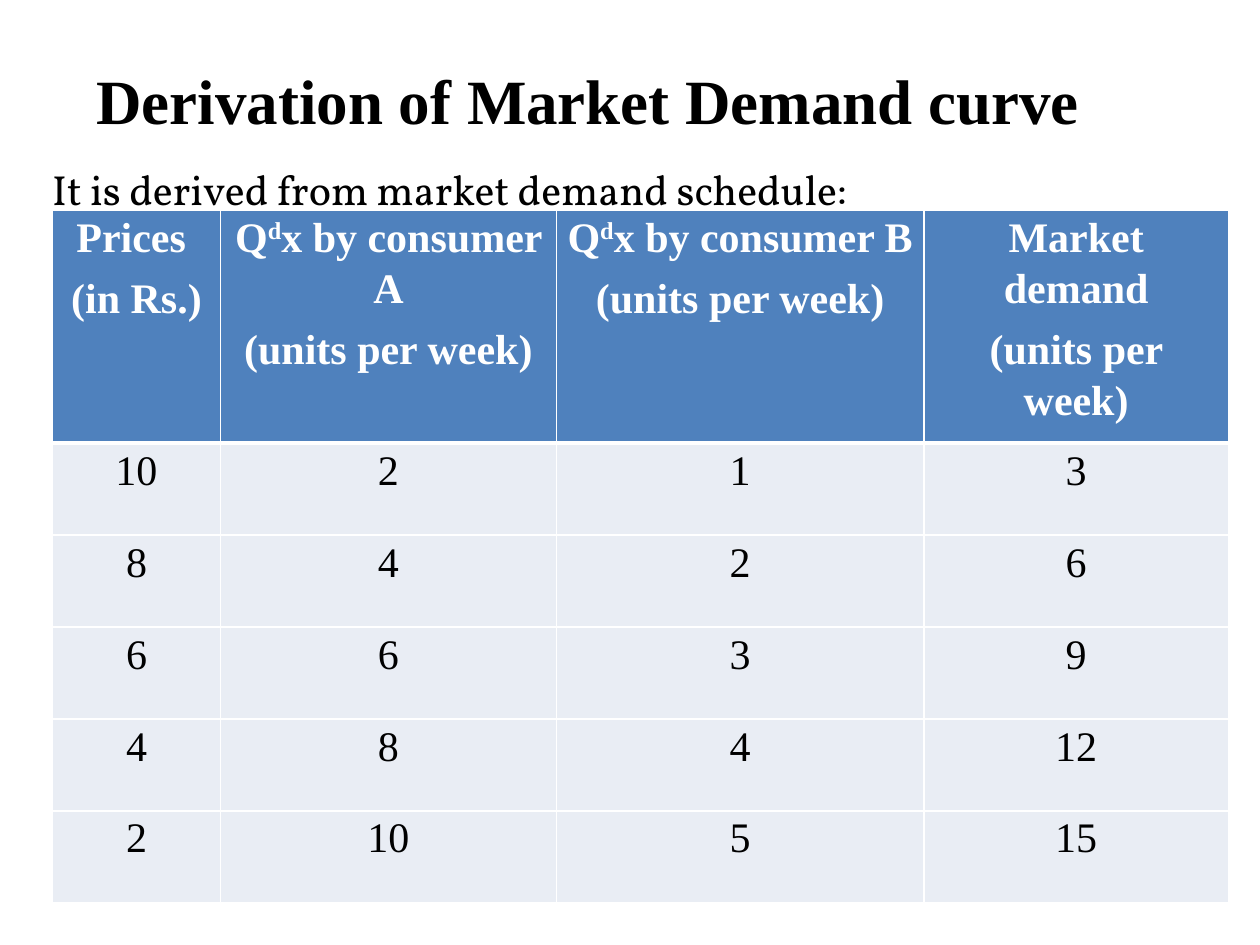
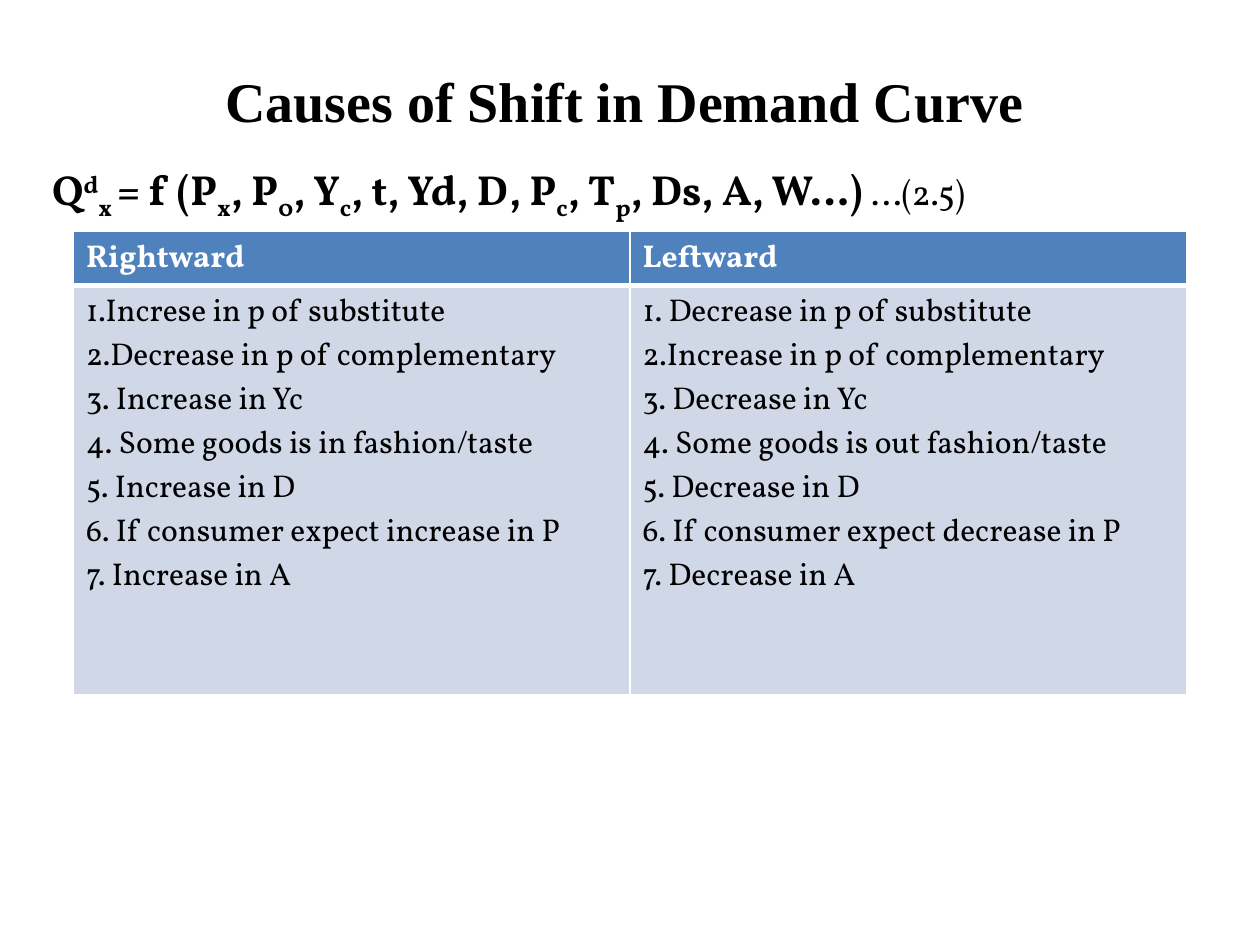
from dataclasses import dataclass
from typing import NamedTuple

from pptx import Presentation
from pptx.dml.color import RGBColor
from pptx.enum.text import MSO_ANCHOR as Anchor, PP_ALIGN as Align
from pptx.oxml import parse_xml
from pptx.oxml.ns import nsdecls
from pptx.util import Emu, Inches, Pt

BLACK = RGBColor(0x00, 0x00, 0x00)
WHITE = RGBColor(0xFF, 0xFF, 0xFF)
HEADER_BLUE = RGBColor(0x4F, 0x81, 0xBD)
PALE_BLUE = RGBColor(0xE9, 0xED, 0xF4)
SOFT_BLUE = RGBColor(0xD0, 0xD8, 0xE8)
SERIF, BOOK = "Times New Roman", "Vollkorn"

prs = Presentation()
prs.slide_width, prs.slide_height = Inches(10), Inches(7.5)
UNIT = prs.slide_width // 120  # the grid has 120 columns and 90 rows
SUP, SUB = 30, -25  # baseline shifts in percent


class Box(NamedTuple):
    """A place on the grid."""
    left: float
    top: float
    width: float
    height: float


class Part(NamedTuple):
    """A piece of text with a baseline shift."""
    text: str
    shift: int = 0


@dataclass(frozen=True)
class Font:
    """The look of a run."""
    name: str
    size: float
    bold: bool = False
    color: RGBColor = BLACK


@dataclass(frozen=True)
class TableStyle:
    """The look of a table; cell margins are in inches."""
    header: Font
    body: Font
    body_fill: RGBColor
    align: Align = Align.LEFT
    margin_x: float = 0.1
    margin_y: float = 0.05
    line_spacing: float = 1.0
    gap: float = 0


def grid(*values: float) -> list[Emu]:
    """Turn grid units into lengths."""
    return [Emu(round(v * UNIT)) for v in values]


def add_runs(p, parts: list[Part], font: Font) -> None:
    """Write the parts into a paragraph, one run each."""
    for part in parts:
        r = p.add_run()
        r.text = part.text
        r.font.name, r.font.size = font.name, Pt(font.size)
        r.font.bold = font.bold
        r.font.color.rgb = font.color
        if part.shift:
            r.font._element.set("baseline", str(part.shift * 1000))


def add_text(s, box: Box, anchor: Anchor, align: Align):
    """Add a wrapping text box and return its paragraph."""
    tf = s.shapes.add_textbox(*grid(*box)).text_frame
    tf.word_wrap = True
    tf.vertical_anchor = anchor
    p = tf.paragraphs[0]
    p.alignment = align
    return p


def add_title(s, text: str, size: float, width: float) -> None:
    """Add the bold centred slide title."""
    p = add_text(s, Box(5, 4, width, 11), Anchor.MIDDLE, Align.CENTER)
    add_runs(p, [Part(text)], Font(SERIF, size, True))


def add_lead(s):
    """Add the line under the title and return its paragraph."""
    p = add_text(s, Box(3.8, 15, 107, 71), Anchor.TOP, Align.JUSTIFY)
    p.space_before = Pt(4.8)
    return p


def set_borders(cell, bottom: float) -> None:
    """Draw white cell borders, 1 pt except for the bottom one."""
    tc_pr = cell._tc.get_or_add_tcPr()
    widths = {"lnL": 1, "lnR": 1, "lnT": 1, "lnB": bottom}
    for i, (tag, width) in enumerate(widths.items()):
        tc_pr.insert(i, parse_xml(
            f'<a:{tag} {nsdecls("a")} w="{Pt(width)}"><a:solidFill>'
            f'<a:srgbClr val="{WHITE}"/></a:solidFill></a:{tag}>'))


def fill_cell(cell, lines: list[list[Part]], style: TableStyle, is_header: bool) -> None:
    """Write and colour one cell."""
    cell.margin_left = cell.margin_right = Inches(style.margin_x)
    cell.margin_top = cell.margin_bottom = Inches(style.margin_y)
    cell.fill.solid()
    cell.fill.fore_color.rgb = HEADER_BLUE if is_header else style.body_fill
    set_borders(cell, 3 if is_header else 1)
    tf = cell.text_frame
    for i, parts in enumerate(lines):
        p = tf.add_paragraph() if i else tf.paragraphs[0]
        p.alignment = style.align
        p.line_spacing = style.line_spacing
        p.space_before = p.space_after = Pt(style.gap)
        add_runs(p, parts, style.header if is_header else style.body)


def add_table(s, left: float, top: float, cols: list[float], heights: list[float],
              rows: list[list[list[list[Part]]]], style: TableStyle) -> None:
    """Add a table whose first row is the header."""
    box = Box(left, top, sum(cols), sum(heights))
    table = s.shapes.add_table(len(rows), len(cols), *grid(*box)).table
    for col, width in zip(table.columns, grid(*cols)):
        col.width = width
    for row, height in zip(table.rows, grid(*heights)):
        row.height = height
    for i, row in enumerate(rows):
        for j, lines in enumerate(row):
            fill_cell(table.cell(i, j), lines, style, i == 0)


def plain(*lines: str) -> list[list[Part]]:
    """Make cell lines without baseline shifts."""
    return [[Part(line)] for line in lines]


def quantity_header(consumer: str) -> list[list[Part]]:
    """Make the heading of one consumer's demand."""
    return [[Part("Q"), Part("d", SUP), Part(f"x by consumer {consumer}")],
            [Part("(units per week)")]]


def market_demand_slide() -> None:
    """Build the slide with the market demand schedule."""
    s = prs.slides.add_slide(prs.slide_layouts[6])
    add_title(s, "Derivation of Market Demand curve", 36, 102)
    add_runs(add_lead(s), [Part("It is derived from market demand schedule:")],
             Font(BOOK, 24))
    header = [plain("Prices ", "(in Rs.)"), quantity_header("A"),
              quantity_header("B"), plain("Market demand", "(units per week)")]
    schedule = [(10, 2, 1), (8, 4, 2), (6, 6, 3), (4, 8, 4), (2, 10, 5)]
    body = [[plain(str(v)) for v in (price, a, b, a + b)] for price, a, b in schedule]
    style = TableStyle(Font(SERIF, 24, True, WHITE), Font(SERIF, 24), PALE_BLUE,
                       Align.CENTER, 0.07, 0, 1.1, 3)
    add_table(s, 5, 20, [16, 32, 35, 29], [22.2] + [8.76] * len(body),
              [header] + body, style)


def shift_causes_slide() -> None:
    """Build the slide with the causes of a shift in demand."""
    s = prs.slides.add_slide(prs.slide_layouts[6])
    add_title(s, "Causes of Shift in Demand Curve", 32, 109)
    formula = [Part("Q"), Part("d", SUP), Part("x ", SUB), Part("= f (P"),
               Part("x", SUB), Part(", P"), Part("0", SUB), Part(", Y"),
               Part("c", SUB), Part(", t, Yd, D, P"), Part("c", SUB),
               Part(", T"), Part("p", SUB), Part(", Ds, A, W…)")]
    p = add_lead(s)
    add_runs(p, formula, Font(BOOK, 24, True))
    add_runs(p, [Part("\t...(2.5)")], Font(BOOK, 20))
    rightward = plain(
        "1.Increse in p of substitute", "2.Decrease in p of complementary",
        "3. Increase in Yc", "4. Some goods is in fashion/taste",
        "5. Increase in D", "6. If consumer expect increase in P",
        "7. Increase in A")
    leftward = plain(
        "1. Decrease in p of substitute", "2.Increase in p of complementary",
        "3. Decrease in Yc", "4. Some goods is out fashion/taste",
        "5. Decrease in D", "6. If consumer expect decrease in P",
        "7. Decrease in A")
    style = TableStyle(Font(BOOK, 18, True, WHITE), Font(BOOK, 18), SOFT_BLUE)
    add_table(s, 7, 22, [53, 53], [5.2, 39],
              [[plain("Rightward"), plain("Leftward")], [rightward, leftward]], style)


market_demand_slide()
shift_causes_slide()
prs.save("out.pptx")
